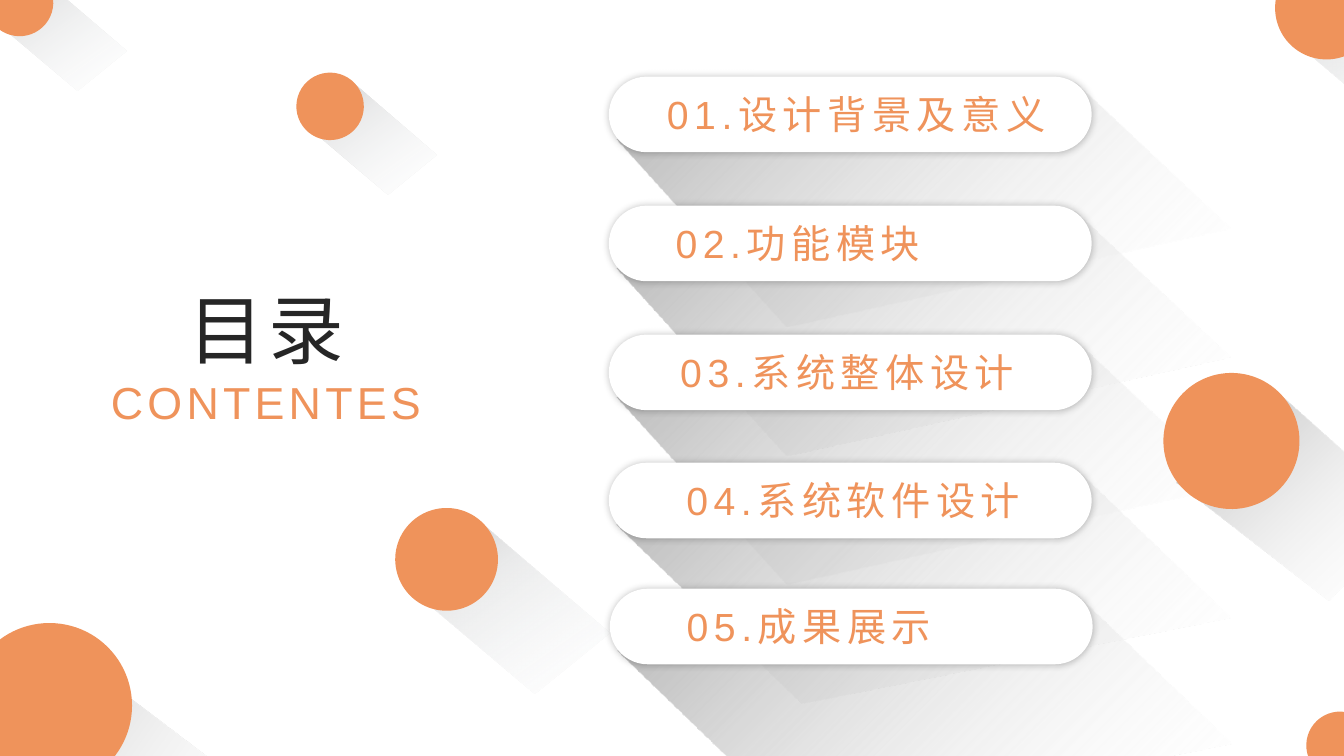
from math import cos, radians, sin

from pptx import Presentation
from pptx.dml.color import RGBColor
from pptx.enum.shapes import MSO_SHAPE
from pptx.enum.text import PP_ALIGN
from pptx.oxml import parse_xml
from pptx.oxml.ns import nsdecls, qn
from pptx.util import Pt

ORANGE = RGBColor(0xEF, 0x93, 0x5B)
INK = RGBColor(0x26, 0x26, 0x26)
WHITE = RGBColor(0xFF, 0xFF, 0xFF)
BLACK = RGBColor(0, 0, 0)
ICE = RGBColor(0xF7, 0xFA, 0xFD)
SILVER = RGBColor(0xCC, 0xCD, 0xCE)
GRAY = RGBColor(0xBF, 0xBF, 0xBF)

SOFT_FADE = [(0, ICE, 0), (63, SILVER, 40), (100, GRAY, 100)]
PLAIN_FADE = [(0, WHITE, 0), (92, GRAY, 100)]

# Trail corners are measured in ball radii from the ball's centre.
BALL_TRAIL = [(-0.89, 0.42), (0.73, -0.65), (3.16, 1.43), (1.71, 2.61)]
CORNER_TRAIL = [(-0.7, 0.83), (0.17, -0.7), (2.01, 0.7), (1.34, 2.12)]
SIDE_TRAIL = [(-0.81, 0.61), (0.66, -0.72), (2.66, 1.06), (1.43, 2.34)]

LONG_TRAIL = [(5.8, 44.6), (333.4, 4.3), (444.2, 108), (127.4, 178.2)]
WIDE_TRAIL = [(5.8, 44.6), (334.8, 5.8), (444.2, 110.9), (138.2, 172.1)]

BALLS = [
    (235.8, 76, 24.1, 9.6, BALL_TRAIL, 9.6, SOFT_FADE),
    (35.3, 504, 59, 0, CORNER_TRAIL, -9.9, PLAIN_FADE),
    (319, 399.6, 36.7, 10.2, BALL_TRAIL, 10.2, SOFT_FADE),
    (947.5, 5.8, 36.7, 10.2, BALL_TRAIL, 10.2, SOFT_FADE),
    (14, 1.8, 24.1, 9.6, BALL_TRAIL, 9.6, SOFT_FADE),
    (957.2, 532.4, 24.1, 9.6, BALL_TRAIL, 9.6, SOFT_FADE),
    (879.6, 315, 48.6, 6.4, SIDE_TRAIL, 1.8, PLAIN_FADE),
]

ENTRIES = [
    ("01.设计背景及意义", 434.9, 54.7, 12.2, LONG_TRAIL),
    ("02.功能模块", 434.9, 146.9, -29.5, LONG_TRAIL),
    ("03.系统整体设计", 434.9, 239, 5.8, LONG_TRAIL),
    ("04.系统软件设计", 434.9, 330.5, 10.1, WIDE_TRAIL),
    ("05.成果展示", 435.6, 420.5, -22.3, WIDE_TRAIL),
]


def turn(x, y, angle):
    theta = radians(angle)
    return x * cos(theta) - y * sin(theta), x * sin(theta) + y * cos(theta)


def clean(shape, color):
    shape.shadow.inherit = False
    shape.line.fill.background()
    shape.fill.solid()
    shape.fill.fore_color.rgb = color


def add_trail(page, left, top, corners, fade, rotation=0):
    level = [turn(x, y, -rotation) for x, y in corners]
    points = [(Pt(left + x), Pt(top + y)) for x, y in level]
    builder = page.shapes.build_freeform(*points[0])
    builder.add_line_segments(points[1:], close=True)
    trail = builder.convert_to_shape()
    clean(trail, GRAY)
    columns, rows = zip(*level)
    middle = (min(columns) + max(columns)) / 2, (min(rows) + max(rows)) / 2
    turned = turn(*middle, rotation)
    trail.left += Pt(turned[0] - middle[0])
    trail.top += Pt(turned[1] - middle[1])
    trail.rotation = rotation
    stops = "".join(
        f'<a:gs pos="{position * 1000}"><a:srgbClr val="{color}">'
        f'<a:alpha val="{opacity * 1000}"/></a:srgbClr></a:gs>'
        for position, color, opacity in fade
    )
    gradient = parse_xml(
        f'<a:gradFill {nsdecls("a")} rotWithShape="1"><a:gsLst>{stops}</a:gsLst>'
        '<a:lin ang="13500000" scaled="0"/></a:gradFill>'
    )
    properties = trail._element.spPr
    properties.replace(properties.find(qn("a:solidFill")), gradient)


def add_text(page, text, left, top, width, height, *, size, color, spacing):
    box = page.shapes.add_textbox(Pt(left), Pt(top), Pt(width), Pt(height))
    box.text_frame.word_wrap = True
    para = box.text_frame.paragraphs[0]
    para.alignment = PP_ALIGN.CENTER
    span = para.add_run()
    span.text = text
    span.font.name = "Arial"
    span.font.size = Pt(size)
    span.font.color.rgb = color
    span.font._element.set("spc", str(spacing * 100))


def add_ball(page, center_x, center_y, radius, rotation, trail, trail_rotation, fade):
    corners = [(x * radius, y * radius) for x, y in trail]
    add_trail(page, center_x, center_y, corners, fade, trail_rotation)
    ball = page.shapes.add_shape(
        MSO_SHAPE.OVAL, Pt(center_x - radius), Pt(center_y - radius),
        Pt(2 * radius), Pt(2 * radius),
    )
    clean(ball, ORANGE)
    ball.rotation = rotation


def add_entry(page, text, left, top, indent, trail):
    add_trail(page, left, top, trail, PLAIN_FADE)
    pill = page.shapes.add_shape(
        MSO_SHAPE.ROUNDED_RECTANGLE, Pt(left), Pt(top), Pt(344.9), Pt(54)
    )
    pill.adjustments[0] = 0.5
    clean(pill, WHITE)
    pill._element.spPr.find(qn("a:effectLst")).append(parse_xml(
        f'<a:outerShdw {nsdecls("a")} blurRad="{Pt(5)}" dist="0" dir="0" '
        f'algn="ctr" rotWithShape="0"><a:srgbClr val="{BLACK}">'
        '<a:alpha val="24000"/></a:srgbClr></a:outerShdw>'
    ))
    add_text(page, text, left + indent, top + 6.5, 329, 41,
             size=28, color=ORANGE, spacing=4)


def add_heading(page, left, top):
    add_text(page, "目录", left + 19.4, top, 202.3, 72.7,
             size=54, color=INK, spacing=3)
    add_text(page, "CONTENTES", left, top + 65.5, 240.5, 46,
             size=32, color=ORANGE, spacing=3)


def main():
    deck = Presentation()
    deck.slide_width, deck.slide_height = Pt(960), Pt(540)
    page = deck.slides.add_slide(deck.slide_layouts[6])
    page.background.fill.solid()
    page.background.fill.fore_color.rgb = WHITE
    add_heading(page, 69.8, 198.7)
    for entry in ENTRIES:
        add_entry(page, *entry)
    for ball in BALLS:
        add_ball(page, *ball)
    deck.save("out.pptx")


if __name__ == "__main__":
    main()
